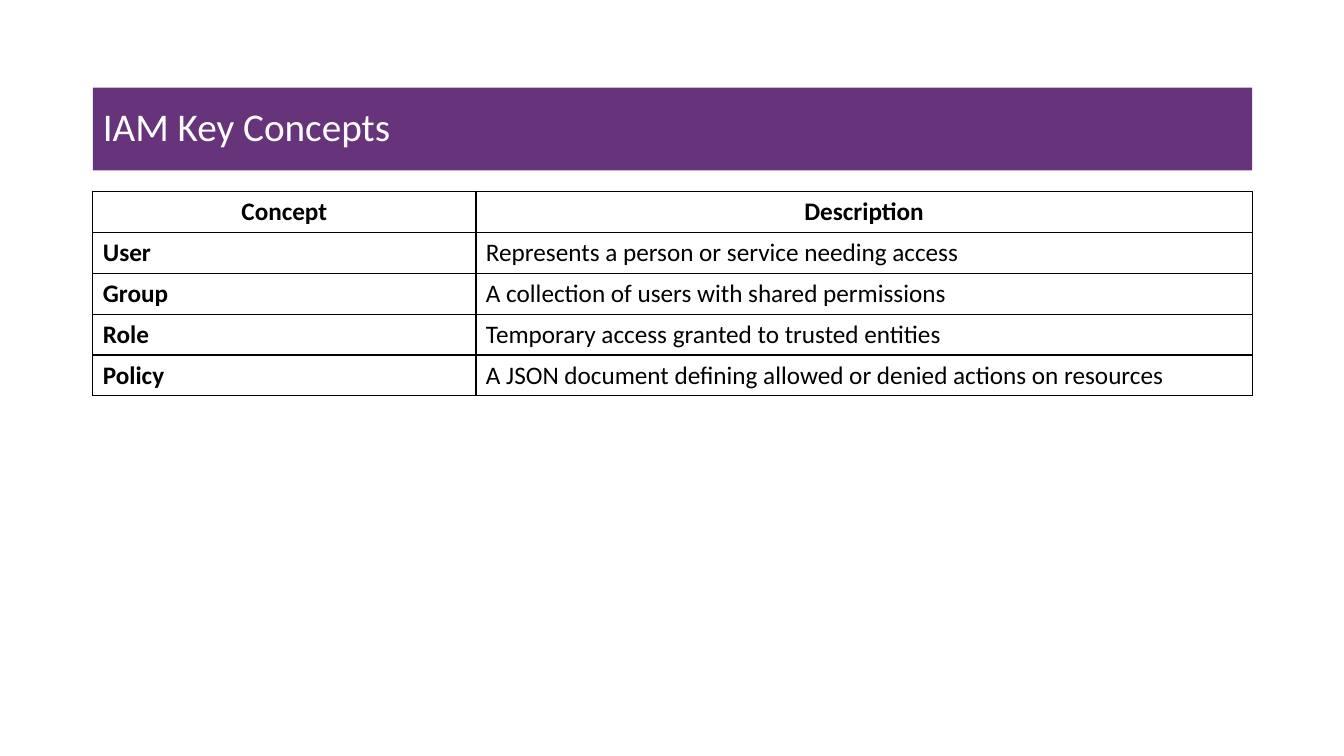
from dataclasses import dataclass

from lxml.etree import SubElement
from pptx import Presentation
from pptx.dml.color import RGBColor
from pptx.enum.text import MSO_ANCHOR, MSO_AUTO_SIZE, PP_ALIGN
from pptx.oxml.ns import qn
from pptx.util import Inches, Pt


@dataclass(frozen=True)
class Theme:
    font: str = "Calibri"
    title_size: int = 28
    table_size: int = 18
    border_width: int = 1
    banner: str = "67337A"
    title: str = "FFFFFF"
    ink: str = "000000"


THEME = Theme()
TITLE_BOX = (0.92, 0.87, 11.5, 0.82)
TABLE_BOX = (0.92, 1.9, 11.5, 2)
CONCEPT_SHARE = 3.8 / 11.5
CONCEPTS = [
    ("Concept", "Description"),
    ("User", "Represents a person or service needing access"),
    ("Group", "A collection of users with shared permissions"),
    ("Role", "Temporary access granted to trusted entities"),
    ("Policy", "A JSON document defining allowed or denied actions on resources"),
]


def add_span(para, text, size, color, bold=False):
    span = para.add_run()
    span.text = text
    span.font.name = THEME.font
    span.font.size = Pt(size)
    span.font.bold = bold
    span.font.color.rgb = RGBColor.from_string(color)


def add_borders(cell):
    properties = cell._tc.get_or_add_tcPr()
    for side in ("a:lnL", "a:lnR", "a:lnT", "a:lnB"):
        line = SubElement(properties, qn(side), w=str(Pt(THEME.border_width)))
        fill = SubElement(line, qn("a:solidFill"))
        SubElement(fill, qn("a:srgbClr"), val=THEME.ink)


def place_title(page, box, text):
    title = page.shapes.title
    title.left, title.top, title.width, title.height = map(Inches, box)
    title.fill.solid()
    title.fill.fore_color.rgb = RGBColor.from_string(THEME.banner)
    frame = title.text_frame
    frame.word_wrap = True
    frame.auto_size = MSO_AUTO_SIZE.NONE
    frame.vertical_anchor = MSO_ANCHOR.MIDDLE
    para = frame.paragraphs[0]
    para.alignment = PP_ALIGN.LEFT
    para.line_spacing = 0.9
    add_span(para, text, THEME.title_size, THEME.title)


def place_table(page, box, rows):
    table = page.shapes.add_table(len(rows), 2, *map(Inches, box)).table
    table.horz_banding = False
    width = box[2]
    table.columns[0].width = Inches(width * CONCEPT_SHARE)
    table.columns[1].width = Inches(width * (1 - CONCEPT_SHARE))
    for row, texts in enumerate(rows):
        for column, text in enumerate(texts):
            header = row == 0
            cell = table.cell(row, column)
            cell.vertical_anchor = MSO_ANCHOR.MIDDLE
            add_borders(cell)
            cell.fill.background()
            para = cell.text_frame.paragraphs[0]
            para.alignment = PP_ALIGN.CENTER if header else PP_ALIGN.LEFT
            add_span(para, text, THEME.table_size, THEME.ink, header or column == 0)


def main():
    deck = Presentation()
    deck.slide_width = Inches(13.33)
    deck.slide_height = Inches(7.5)
    page = deck.slides.add_slide(deck.slide_layouts[5])
    place_title(page, TITLE_BOX, "IAM Key Concepts")
    place_table(page, TABLE_BOX, CONCEPTS)
    deck.save("out.pptx")


if __name__ == "__main__":
    main()
